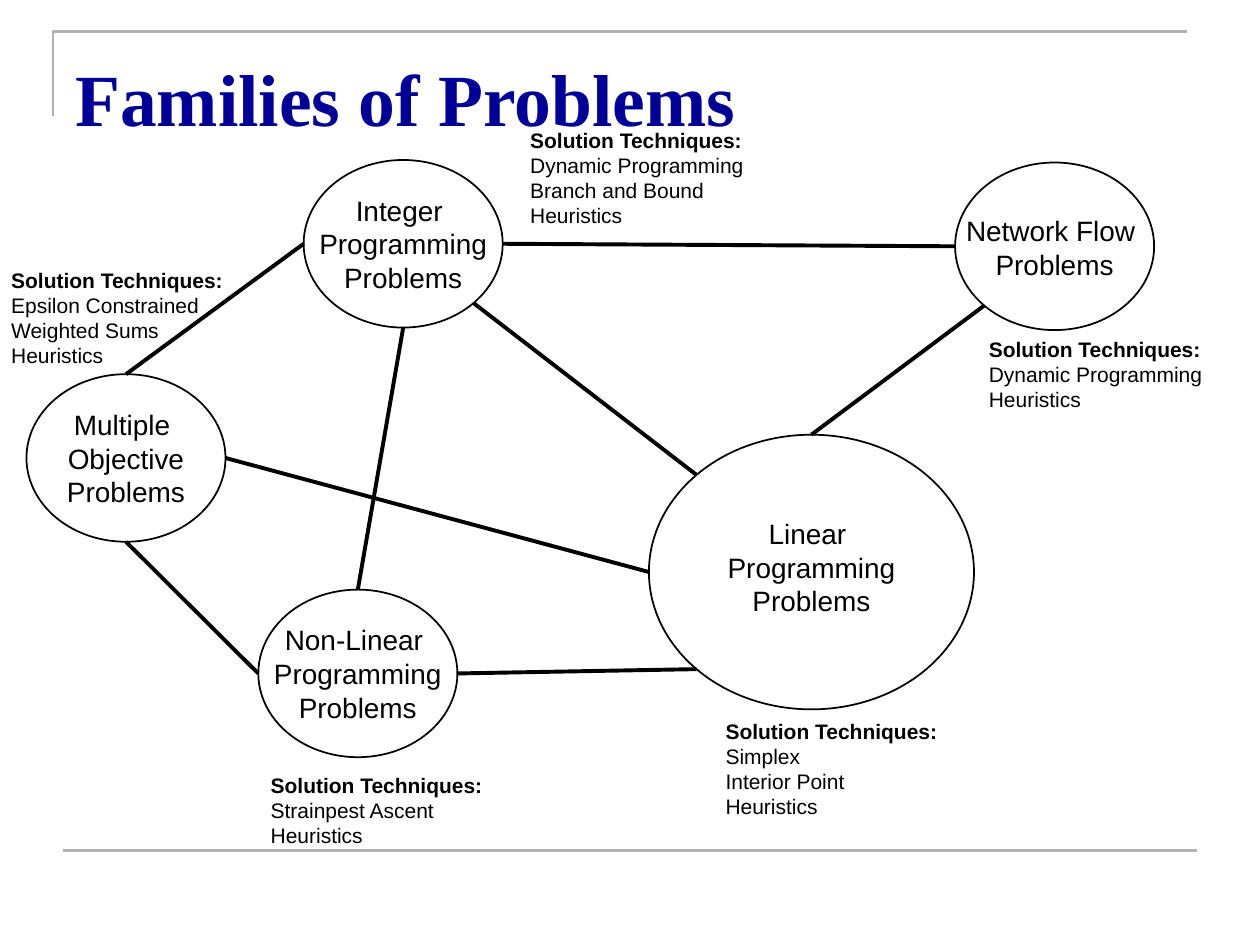
import math

import pptx
import pptx.dml.color
import pptx.enum.shapes
import pptx.enum.text
import pptx.oxml.ns
import pptx.util
from lxml import etree

Inches, Pt = pptx.util.Inches, pptx.util.Pt
RGBColor = pptx.dml.color.RGBColor

BLACK = RGBColor(0x00, 0x00, 0x00)
NAVY = RGBColor(0x00, 0x00, 0x99)
GREY = RGBColor(0xB2, 0xB2, 0xB2)

TITLE = "Families of Problems"
SMALL, LARGE = (1.58, 1.33), (2.58, 2.18)

# Families: left, top, size, upward text shift, text (\v is a line break)
FAMILIES = {
    "integer": (2.41, 1.27, SMALL, 0, "Integer \vProgramming\vProblems"),
    "multiple": (0.21, 2.97, SMALL, 0, "Multiple \vObjective\nProblems"),
    "linear": (5.15, 3.45, LARGE, 0.04, "Linear \vProgramming\nProblems"),
    "network": (7.58, 1.29, SMALL, -0.01, "Network Flow \vProblems"),
    "nonlinear": (2.05, 4.68, SMALL, 0, "Non-Linear \vProgramming\nProblems"),
}

# Links: family and point on its outline, at both ends
LINKS = [
    ("integer", "bottom right", "linear", "top left"),
    ("integer", "right", "network", "left"),
    ("linear", "top", "network", "bottom left"),
    ("integer", "bottom", "nonlinear", "top"),
    ("integer", "left", "multiple", "top"),
    ("multiple", "bottom", "nonlinear", "left"),
    ("multiple", "right", "linear", "left"),
    ("nonlinear", "right", "linear", "bottom left"),
]

# Solution techniques: left, top, width, height, entries
HEADING = "Solution Techniques:"
TECHNIQUES = [
    (2.05, 6.08, 2.38, 0.91, ["Strainpest Ascent", "Heuristics"]),
    (5.66, 5.65, 2.15, 1.11, ["Simplex", "Interior Point", "Heuristics"]),
    (7.75, 2.62, 2.33, 0.91, ["Dynamic Programming", "Heuristics"]),
    (4.11, 0.96, 2.33, 0.91,
     ["Dynamic Programming", "Branch and Bound", "Heuristics"]),
    (-0.01, 2.07, 2.02, 0.91,
     ["Epsilon Constrained", "Weighted Sums", "Heuristics"]),
]


def style(paragraph, size, color=BLACK, name="Arial", bold=False):
    font = paragraph.font
    font.name, font.size, font.bold = name, Pt(size), bold
    font.color.rgb = color


def add_text(slide, left, top, width, height):
    box = slide.shapes.add_textbox(*map(Inches, (left, top, width, height)))
    box.text_frame.word_wrap = True
    return box.text_frame


def add_line(slide, start, end, color, width):
    line = slide.shapes.add_connector(
        pptx.enum.shapes.MSO_CONNECTOR.STRAIGHT, *map(Inches, (*start, *end)))
    line.line.color.rgb = color
    line.line.width = Pt(width)
    etree.SubElement(line._element.spPr, pptx.oxml.ns.qn("a:effectLst"))


def outline_point(family, side):
    left, top, (width, height), _, _ = FAMILIES[family]
    x = ("right" in side) - ("left" in side)
    y = ("bottom" in side) - ("top" in side)
    length = math.hypot(x, y)
    return (left + width / 2 * (1 + x / length),
            top + height / 2 * (1 + y / length))


def add_frame(slide):
    builder = slide.shapes.build_freeform(Inches(0.42), Inches(0.92))
    builder.add_line_segments(
        [(Inches(0.42), Inches(0.25)), (Inches(9.42), Inches(0.25))], close=False)
    corner = builder.convert_to_shape()
    corner.shadow.inherit = False
    corner.fill.background()
    corner.line.color.rgb = GREY
    corner.line.width = Pt(1.5)
    add_line(slide, (0.5, 6.75), (9.5, 6.75), GREY, 1.5)


def add_family(slide, left, top, size, shift, text):
    ellipse = slide.shapes.add_shape(
        pptx.enum.shapes.MSO_SHAPE.OVAL, *map(Inches, (left, top, *size)))
    ellipse.shadow.inherit = False
    ellipse.fill.background()
    ellipse.line.color.rgb = BLACK
    ellipse.line.width = Pt(1)
    frame = ellipse.text_frame
    frame.word_wrap = False
    frame.vertical_anchor = pptx.enum.text.MSO_ANCHOR.MIDDLE
    frame.margin_top = Inches(0.05 - shift)
    frame.margin_bottom = Inches(0.05 + shift)
    frame.text = text
    for paragraph in frame.paragraphs:
        paragraph.alignment = pptx.enum.text.PP_ALIGN.CENTER
        style(paragraph, 16)


def main():
    presentation = pptx.Presentation()
    presentation.slide_width, presentation.slide_height = Inches(10), Inches(7.5)
    slide = presentation.slides.add_slide(presentation.slide_layouts[6])

    # Frame and title
    add_frame(slide)
    title = add_text(slide, 0.5, 0.3, 9, 1.25)
    title.margin_top = Inches(0.12)
    title.text = TITLE
    style(title.paragraphs[0], 42, NAVY, "Times New Roman", True)

    # Families and the links between them
    for family in FAMILIES.values():
        add_family(slide, *family)
    for start, start_side, end, end_side in LINKS:
        add_line(slide, outline_point(start, start_side),
                 outline_point(end, end_side), BLACK, 2.25)

    # Solution techniques
    for *place, entries in TECHNIQUES:
        frame = add_text(slide, *place)
        frame.text = "\n".join([HEADING, *entries])
        for index, paragraph in enumerate(frame.paragraphs):
            style(paragraph, 12, bold=index == 0)

    presentation.save("out.pptx")


if __name__ == "__main__":
    main()
